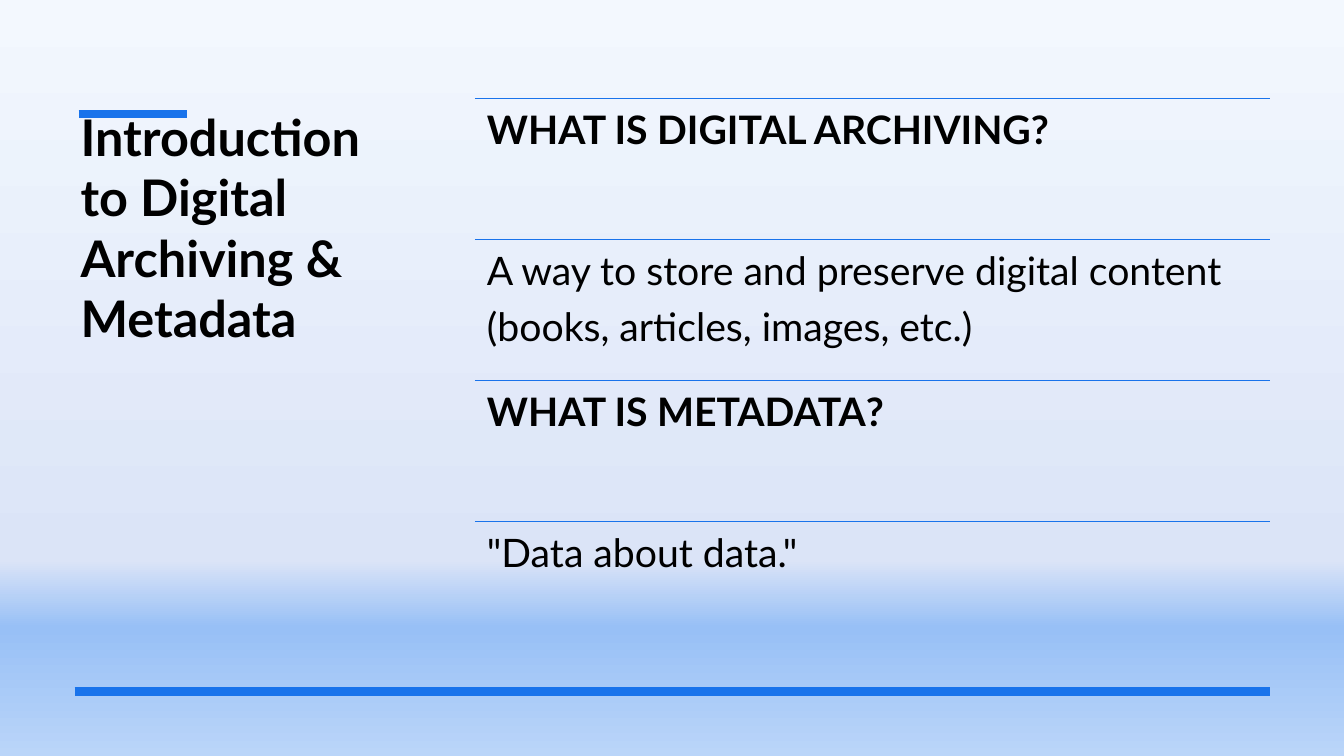
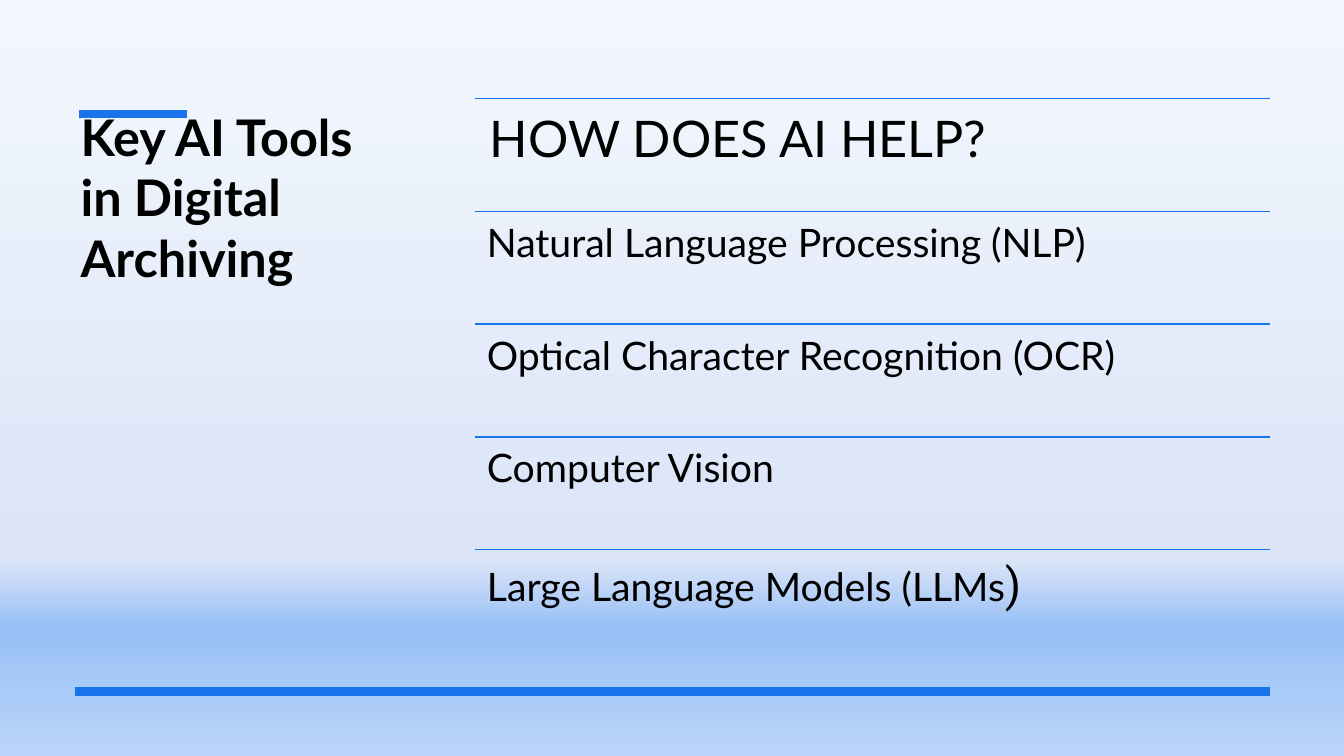
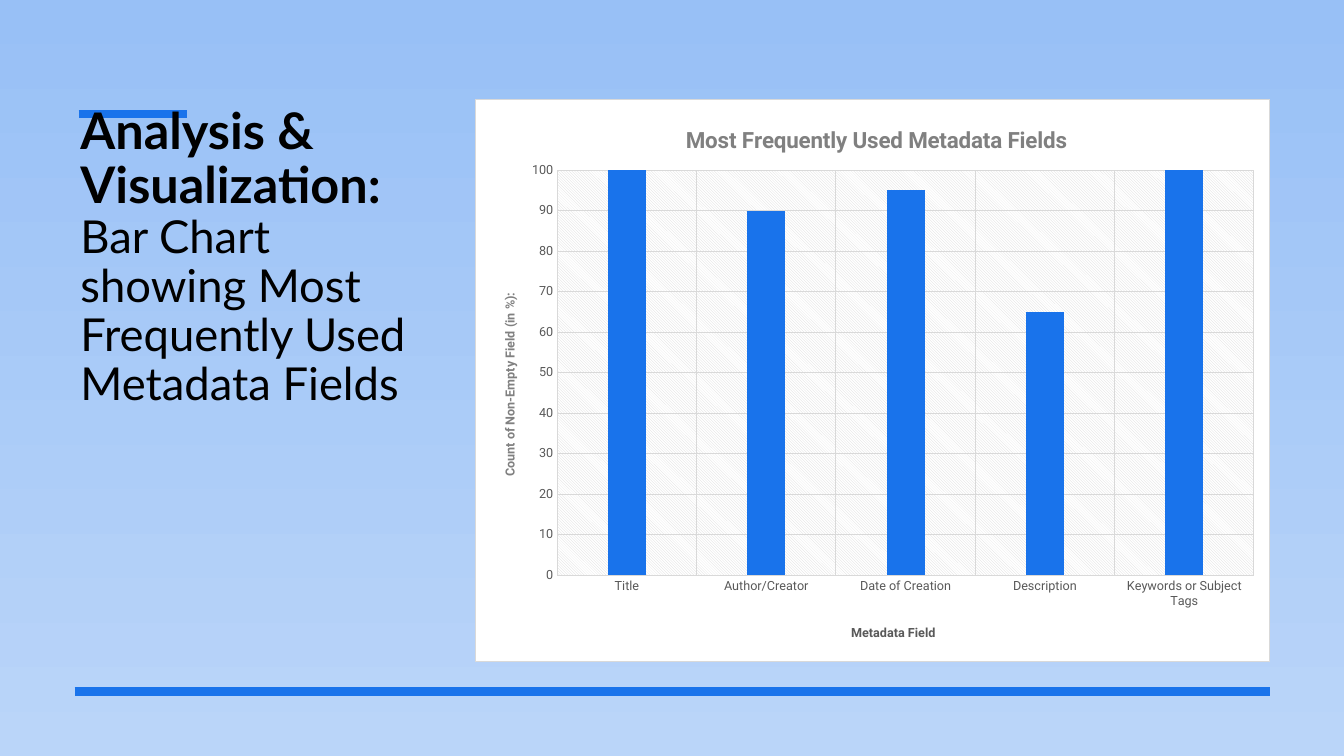
from copy import deepcopy

from lxml.etree import SubElement
from pptx import Presentation
from pptx.chart.data import CategoryChartData
from pptx.dml.color import RGBColor
from pptx.enum.chart import XL_CHART_TYPE as ChartType, XL_TICK_MARK as TickMark
from pptx.enum.shapes import MSO_CONNECTOR as Connector
from pptx.oxml import parse_xml
from pptx.oxml.ns import nsdecls, qn
from pptx.util import Inches, Pt

BLUE = RGBColor(0x19, 0x73, 0xEB)
BLACK = RGBColor(0x00, 0x00, 0x00)
DARK_GRAY = RGBColor(0x59, 0x59, 0x59)
MID_GRAY = RGBColor(0x80, 0x80, 0x80)
LIGHT_GRAY = RGBColor(0xD9, 0xD9, 0xD9)
ICE = RGBColor(0xF3, 0xF8, 0xFE)
MIST = RGBColor(0xDB, 0xE4, 0xF7)
SKY = RGBColor(0x98, 0xC0, 0xF6)
PALE_SKY = RGBColor(0xBA, 0xD5, 0xF9)

HORIZON = [(0, ICE), (0.74, MIST), (0.83, SKY), (1, PALE_SKY)]
PLAIN_SKY = [(0, SKY), (1, PALE_SKY)]

LEFT, TOP, WIDTH, HEIGHT = 4.71, 0.98, 7.89, 5.59  # content area
RIGHT = LEFT + WIDTH


def add_line(slide, left, right, y, weight):
    line = slide.shapes.add_connector(
        Connector.STRAIGHT, Inches(left), Inches(y), Inches(right), Inches(y))
    line.line.color.rgb = BLUE
    line.line.width = Pt(weight)
    SubElement(line._element.spPr, qn("a:effectLst"))


def add_text(slide, box, paragraphs, insets, **paragraph_format):
    """Each paragraph is a list of runs: (text, size, bold, font name)."""
    frame = slide.shapes.add_textbox(*map(Inches, box)).text_frame
    frame.word_wrap = True
    for side, inset in zip(("left", "top", "right", "bottom"), insets):
        setattr(frame, f"margin_{side}", Inches(inset))
    for index, runs in enumerate(paragraphs):
        paragraph = frame.add_paragraph() if index else frame.paragraphs[0]
        for name, value in paragraph_format.items():
            setattr(paragraph, name, value)
        for text, size, bold, font_name in runs:
            run = paragraph.add_run()
            run.text = text
            run.font.size = Pt(size)
            run.font.bold = bold
            run.font.name = font_name
            run.font.color.rgb = BLACK


# Title width, title, title line spacing, background, rows as (inset, paragraphs)
SLIDES = [
    (3.42, [[("Introduction to Digital Archiving & Metadata", 36, True, "Lato")]],
     1.0, HORIZON, [
        (0.12, [[("WHAT IS DIGITAL ARCHIVING?", 28, True, "Lato")]]),
        (0.12, [[("A way to store and preserve digital content", 28, False, "Lato")],
                [("(books, articles, images, etc.)", 28, False, "Lato")]]),
        (0.12, [[("WHAT IS METADATA?", 28, True, "Lato")]]),
        (0.12, [[('"Data about data."', 28, False, "Lato")]]),
    ]),
    (3.28, [[("Key AI Tools in Digital Archiving", 36, True, "Lato")]],
     1.0, HORIZON, [
        (0.15, [[("HOW DOES AI HELP?", 36, False, "Lato")]]),
        (0.12, [[("Natural Language Processing (NLP)", 28, False, "Lato")]]),
        (0.12, [[("Optical Character Recognition (OCR)", 28, False, "Lato")]]),
        (0.12, [[("Computer Vision", 28, False, "Lato")]]),
        (0.12, [[("Large Language Models (LLMs", 28, False, "Lato"),
                 (")", 33, False, "Roboto")]]),
    ]),
    (3.6, [[("Analysis & Visualization:", 36, True, "Lato")],
           [("Bar Chart showing Most Frequently Used Metadata Fields",
             32.4, False, "Lato")]],
     0.9, PLAIN_SKY, []),
]

presentation = Presentation()
presentation.slide_width = Inches(13.33)
presentation.slide_height = Inches(7.5)

for title_width, title, title_spacing, stops, rows in SLIDES:
    slide = presentation.slides.add_slide(presentation.slide_layouts[6])
    background = slide.background.fill
    background.gradient()
    background.gradient_angle = 270
    stop_list = slide._element.find(".//" + qn("a:gsLst"))
    while len(stop_list) < len(stops):
        stop_list.append(deepcopy(stop_list[0]))
    for stop, (position, color) in zip(background.gradient_stops, stops):
        stop.position = position
        stop.color.rgb = color

    add_line(slide, 0.78, 1.85, 1.13, 6)
    add_text(slide, (0.7, 1, title_width, 4.55), title, (0.1, 0.05, 0.1, 0.05),
             line_spacing=title_spacing)
    add_line(slide, 0.74, RIGHT, 6.86, 6)

    for index, (inset, paragraphs) in enumerate(rows):
        row_height = HEIGHT / len(rows)
        y = TOP + index * row_height
        add_line(slide, LEFT, RIGHT, y, 1)
        add_text(slide, (LEFT, y, WIDTH, row_height), paragraphs, [inset] * 4,
                 line_spacing=0.9, space_after=Pt(9.8))

# Chart on the last slide
data = CategoryChartData()
data.categories = ["Title", "Author/Creator", "Date of Creation", "Description",
                   "Keywords or Subject Tags"]
data.add_series("Series 1", [100, 90, 95, 65, 100])
chart = slide.shapes.add_chart(
    ChartType.COLUMN_CLUSTERED,
    *map(Inches, (LEFT, TOP, WIDTH, HEIGHT)), data).chart
chart.has_legend = False
chart.font.size = Pt(10)
chart.font.name = "Roboto"

plot = chart.plots[0]
plot.gap_width = 267
plot.overlap = -43
plot.vary_by_categories = False
bars = plot.series[0].format.fill
bars.solid()
bars.fore_color.rgb = BLUE

category_axis, value_axis = chart.category_axis, chart.value_axis
value_axis.minimum_scale = 0
value_axis.maximum_scale = 100
value_axis.major_unit = 10
for axis in (category_axis, value_axis):
    axis.major_tick_mark = axis.minor_tick_mark = TickMark.NONE
    axis.has_major_gridlines = True
    for line in (axis.major_gridlines.format.line, axis.format.line):
        line.color.rgb = LIGHT_GRAY
        line.width = Pt(0.75)
    labels = axis.tick_labels.font
    labels.size = Pt(9)
    labels.name = "Roboto"
    labels.color.rgb = DARK_GRAY
value_axis.format.line.fill.background()

plot_area = chart._chartSpace.chart.plotArea
layouts = [(plot_area, {"x": 0.103, "y": 0.126, "w": 0.877, "h": 0.72})]
for owner, text, size, color, x, y in (
        (chart, "Most Frequently Used Metadata Fields", 16, MID_GRAY, 0.26, 0.04),
        (category_axis, "Metadata Field", 9, DARK_GRAY, 0.47, 0.93),
        (value_axis, "Count of Non-Empty Field (in %):", 9, MID_GRAY, 0.03, 0.34)):
    title = owner.chart_title if owner is chart else owner.axis_title
    title.text_frame.text = text
    font = title.text_frame.paragraphs[0].runs[0].font
    font.size = Pt(size)
    font.bold = True
    font.name = "Roboto"
    font.color.rgb = color
    layouts.append((title._element, {"x": x, "y": y}))
value_axis.axis_title.text_frame._txBody.bodyPr.set("rot", "-5400000")

for element, place in layouts:
    layout = element.find(qn("c:layout"))
    if layout is None:
        layout = parse_xml(f"<c:layout {nsdecls('c')}/>")
        element.insert(0, layout)
    manual = SubElement(layout, qn("c:manualLayout"))
    if element is plot_area:
        SubElement(manual, qn("c:layoutTarget")).set("val", "inner")
    for mode in ("xMode", "yMode"):
        SubElement(manual, qn(f"c:{mode}")).set("val", "edge")
    for name, value in place.items():
        SubElement(manual, qn(f"c:{name}")).set("val", str(value))

plot_area.append(parse_xml(
    f'<c:spPr {nsdecls("c", "a")}><a:pattFill prst="ltDnDiag">'
    f'<a:fgClr><a:srgbClr val="{LIGHT_GRAY}"/></a:fgClr>'
    '<a:bgClr><a:srgbClr val="FFFFFF"/></a:bgClr></a:pattFill></c:spPr>'))
chart._chartSpace.chart.addnext(parse_xml(
    f'<c:spPr {nsdecls("c", "a")}>'
    '<a:solidFill><a:srgbClr val="FFFFFF"/></a:solidFill>'
    f'<a:ln w="9525"><a:solidFill><a:srgbClr val="{LIGHT_GRAY}"/></a:solidFill></a:ln>'
    '</c:spPr>'))

presentation.save("out.pptx")
